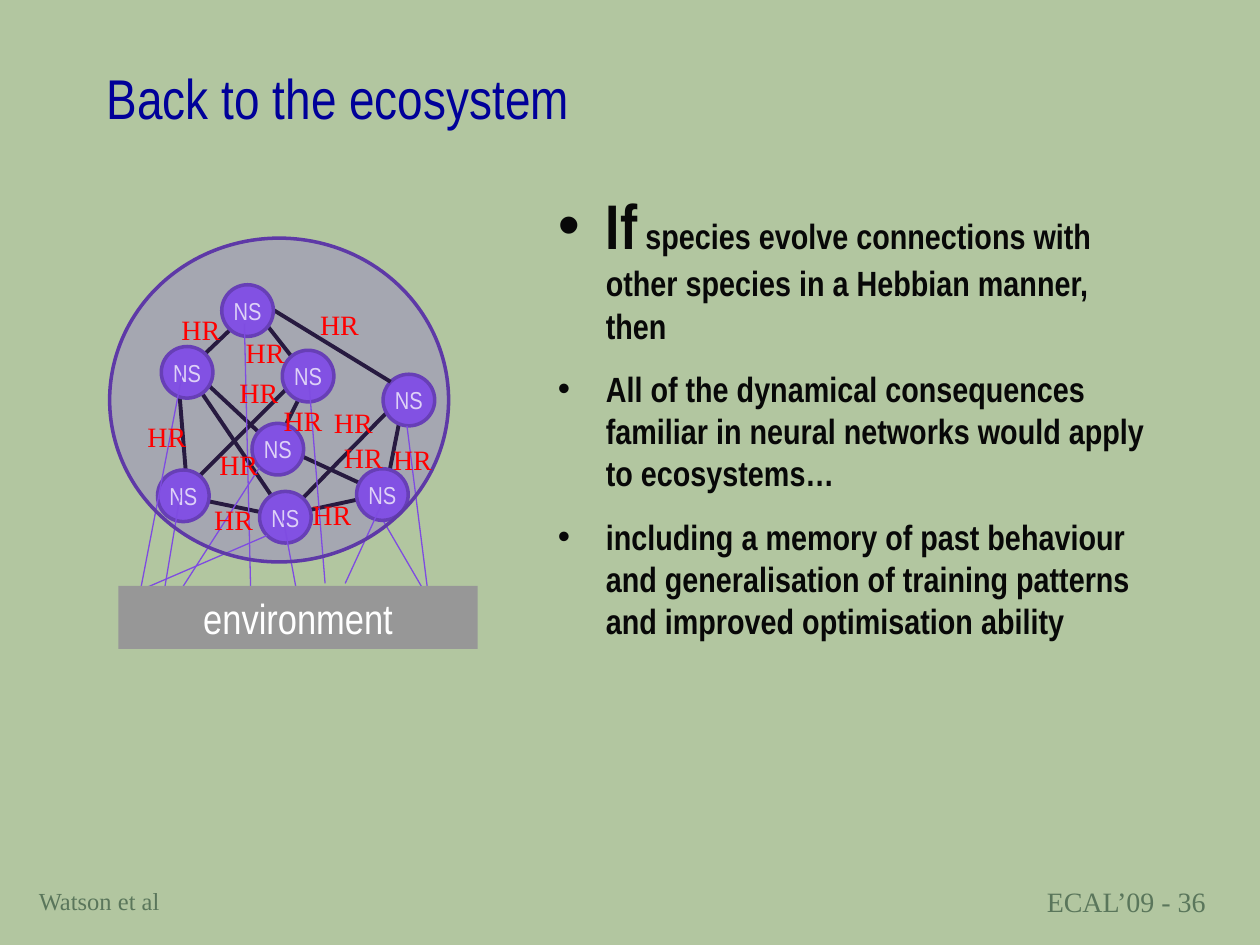
from dataclasses import dataclass

from lxml.etree import SubElement
from pptx import Presentation
from pptx.dml.color import RGBColor
from pptx.enum.shapes import MSO_CONNECTOR, MSO_SHAPE
from pptx.enum.text import MSO_ANCHOR, PP_ALIGN
from pptx.oxml.ns import qn
from pptx.util import Inches, Pt

COLORS = {
    "background": "B2C6A0",
    "footer": "5A765B",
    "title": "000099",
    "ink": "080808",
    "node": "8251E3",
    "outline": "5E39A7",
    "root": "7E4BE1",
    "environment": "979797",
    "label": "FF0000",
    "white": "FFFFFF",
}
NARROW = "Arial Narrow"
SERIF = "Times New Roman"
NODE_SIZE = 0.41


@dataclass(frozen=True)
class Link:
    x1: float
    y1: float
    x2: float
    y2: float


@dataclass(frozen=True)
class Style:
    font: str
    size: float
    color: str
    bold: bool = False


@dataclass(frozen=True)
class Area:
    left: float
    top: float
    width: float
    height: float

    def lengths(self) -> tuple:
        return tuple(Inches(v) for v in (self.left, self.top, self.width, self.height))


NODE_TEXT = Style(NARROW, 14, "white")
LABEL_TEXT = Style(SERIF, 16, "label")

SPECIES_LINKS = [
    Link(2.26, 4.09, 3, 3.93), Link(1.48, 2.94, 2.28, 4.12),
    Link(1.56, 2.97, 2.15, 3.52), Link(1.51, 2.92, 1.96, 2.49),
    Link(1.49, 3.93, 1.41, 2.95), Link(2.15, 3.61, 2.46, 2.99),
    Link(1.42, 3.93, 2.24, 4.1), Link(2, 2.43, 2.44, 2.99),
    Link(3.02, 3.91, 2.22, 3.54), Link(3.22, 3.09, 3.06, 3.9),
    Link(1.47, 3.89, 2.38, 2.98), Link(2.23, 4.13, 3.25, 3.09),
]
INNER_NODES = [(1.28, 2.75), (1.25, 3.73), (2, 3.36), (2.06, 3.9), (2.24, 2.78), (2.83, 3.72)]
ROOTS = [
    Link(1.11, 4.71, 1.45, 2.95), Link(1.1, 4.69, 2.12, 4.25),
    Link(1.3, 4.71, 1.43, 3.93), Link(1.43, 4.69, 2.06, 3.71),
    Link(2.35, 4.67, 2.25, 4.13), Link(2.74, 4.63, 3.03, 4),
    Link(2.58, 4.63, 2.45, 3.01),
]
LABELS = [
    (2.54, 2.44), (1.17, 3.33), (1.9, 2.98), (1.44, 2.48), (1.95, 2.66), (2.48, 3.95),
    (2.65, 3.22), (2.25, 3.2), (1.7, 3.99), (1.74, 3.55), (3.12, 3.51), (2.73, 3.5),
]
BULLETS = [
    [("If", 36), (" species evolve connections with other species in a Hebbian manner, then", 20)],
    [("All of the dynamical consequences familiar in neural networks would apply to ecosystems…", 20)],
    [("including a memory of past behaviour and generalisation of training patterns "
      "and improved optimisation ability", 20)],
]


def rgb(name: str) -> RGBColor:
    return RGBColor.from_string(COLORS[name])


def format_span(span, style: Style) -> None:
    span.font.name = style.font
    span.font.size = Pt(style.size)
    span.font.bold = style.bold
    span.font.color.rgb = rgb(style.color)


def write(shape, text: str, style: Style, align=PP_ALIGN.LEFT, wrap: bool = True,
          anchor=MSO_ANCHOR.TOP, inset: bool = True) -> None:
    frame = shape.text_frame
    frame.text = text
    frame.word_wrap = wrap
    frame.vertical_anchor = anchor
    if not inset:
        frame.margin_left = frame.margin_right = frame.margin_top = frame.margin_bottom = 0
    para = frame.paragraphs[0]
    para.alignment = align
    format_span(para.runs[0], style)


def add_text(slide, area: Area, text: str, style: Style, **options) -> None:
    write(slide.shapes.add_textbox(*area.lengths()), text, style, **options)


def add_filled(slide, kind, area: Area, fill: str, outline: str | None = None):
    shape = slide.shapes.add_shape(kind, *area.lengths())
    shape.shadow.inherit = False
    shape.fill.solid()
    shape.fill.fore_color.rgb = rgb(fill)
    if outline:
        shape.line.color.rgb = rgb(outline)
        shape.line.width = Pt(2)
    else:
        shape.line.fill.background()
    return shape


def add_node(slide, left: float, top: float) -> None:
    area = Area(left, top, NODE_SIZE, NODE_SIZE)
    node = add_filled(slide, MSO_SHAPE.OVAL, area, "node", "outline")
    write(node, "NS", NODE_TEXT, PP_ALIGN.CENTER, anchor=MSO_ANCHOR.MIDDLE, inset=False)


def add_link(slide, link: Link, color: str, width: float) -> None:
    ends = (Inches(v) for v in (link.x1, link.y1, link.x2, link.y2))
    line = slide.shapes.add_connector(MSO_CONNECTOR.STRAIGHT, *ends)
    line.line.color.rgb = rgb(color)
    line.line.width = Pt(width)
    SubElement(line._element.spPr, qn("a:effectLst"))


def add_species_link(slide, link: Link) -> None:
    add_link(slide, link, "ink", 2.25)


def add_root(slide, link: Link) -> None:
    add_link(slide, link, "root", 0.75)


def add_bullets(slide, area: Area) -> None:
    box = slide.shapes.add_textbox(*area.lengths())
    frame = box.text_frame
    frame.word_wrap = True
    for index, spans in enumerate(BULLETS):
        para = frame.add_paragraph() if index else frame.paragraphs[0]
        para.space_before = Pt(5 if index else 0)
        para.space_after = Pt(7.5)
        properties = para._p.get_or_add_pPr()
        properties.set("marL", str(Inches(0.38)))
        properties.set("indent", str(-Inches(0.38)))
        bullet_color = SubElement(properties, qn("a:buClr"))
        SubElement(bullet_color, qn("a:srgbClr"), val=COLORS["ink"])
        SubElement(properties, qn("a:buFont"), typeface="Arial")
        SubElement(properties, qn("a:buChar"), char="•")
        for text, size in spans:
            span = para.add_run()
            span.text = text
            format_span(span, Style(NARROW, size, "ink", True))


def add_ecosystem(slide) -> None:
    add_root(slide, Link(3.36, 4.68, 3.04, 4.13))
    for link in SPECIES_LINKS:
        add_species_link(slide, link)
    for left, top in INNER_NODES:
        add_node(slide, left, top)
    for root in ROOTS:
        add_root(slide, root)
    add_node(slide, 3.04, 2.97)
    add_species_link(slide, Link(2.17, 2.46, 3.1, 3.03))
    add_node(slide, 1.76, 2.26)
    add_root(slide, Link(1.99, 4.7, 1.94, 2.57))
    add_root(slide, Link(3.39, 4.65, 3.23, 3.38))
    ground = add_filled(slide, MSO_SHAPE.RECTANGLE, Area(0.94, 4.65, 2.85, 0.5), "environment")
    write(ground, "environment", Style(NARROW, 24, "white"), PP_ALIGN.CENTER)
    boundary = add_filled(slide, MSO_SHAPE.OVAL, Area(0.87, 1.89, 2.69, 2.57), "node", "outline")
    fill_color = boundary._element.spPr.find(qn("a:solidFill"))[0]
    SubElement(fill_color, qn("a:alpha"), val="26000")


def main() -> None:
    deck = Presentation()
    deck.slide_width, deck.slide_height = Inches(10), Inches(7.5)
    page = deck.slides.add_slide(deck.slide_layouts[6])
    page.background.fill.solid()
    page.background.fill.fore_color.rgb = rgb("background")
    add_text(page, Area(8.21, 6.97, 1.75, 0.36), "ECAL’09 - 36", Style(SERIF, 16, "footer"))
    add_text(page, Area(0.21, 6.98, 1.17, 0.34), "Watson et al", Style(SERIF, 14, "footer"), wrap=False)
    add_text(page, Area(0.75, 0.41, 8.5, 0.73), "Back to the ecosystem",
             Style(NARROW, 32, "title"), anchor=MSO_ANCHOR.MIDDLE)
    add_ecosystem(page)
    add_bullets(page, Area(4.33, 1.43, 4.92, 5.49))
    for left, top in LABELS:
        add_text(page, Area(left, top, 0.31, 0.27), "HR", LABEL_TEXT, wrap=False, inset=False)
    deck.save("out.pptx")


if __name__ == "__main__":
    main()
